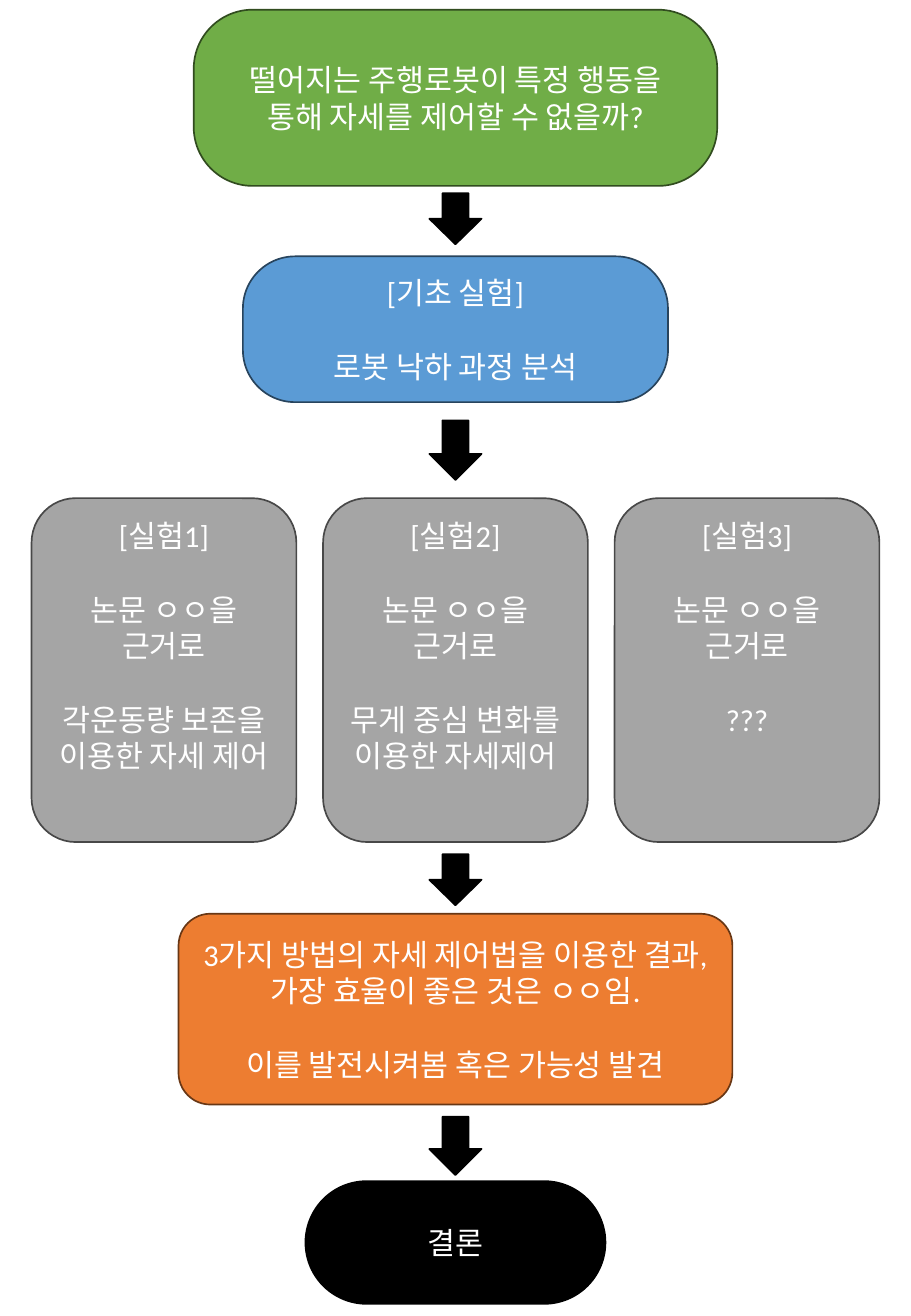
from pptx import Presentation
from pptx.dml.color import RGBColor
from pptx.enum.shapes import MSO_SHAPE
from pptx.enum.text import MSO_ANCHOR, PP_ALIGN
from pptx.util import Inches, Pt

PAGE_WIDTH, PAGE_HEIGHT = 7.5, 10.83
CENTER = PAGE_WIDTH / 2
EXPERIMENT_WIDTH, EXPERIMENT_PITCH = 2.18, 2.4
ARROW_WIDTH = 0.43

STAGES = [
    (0.08, 4.31, 1.45, 0.335, "70AD47", "314C1F",
     ["떨어지는 주행로봇이 특정 행동을 통해 자세를 제어할 수 없을까?"]),
    (2.11, 3.5, 1.2, 0.358, "5B9BD5", "28445D",
     ["[기초 실험]", "로봇 낙하 과정 분석"]),
    (7.52, 4.56, 1.57, 0.167, "ED7D31", "683715",
     ["3가지 방법의 자세 제어법을 이용한 결과, 가장 효율이 좋은 것은 ㅇㅇ임.",
      "이를 발전시켜봄 혹은 가능성 발견"]),
    (9.72, 2.47, 1.01, 0.5, "000000", "000000", ["결론"]),
]
EXPERIMENTS = [
    "각운동량 보존을 이용한 자세 제어",
    "무게 중심 변화를 이용한 자세제어",
    "???",
]
ARROWS = [(1.59, 0.42), (3.46, 0.49), (7.03, 0.42), (9.19, 0.48)]


def color(value):
    return RGBColor.from_string(value)


def add_block(slide, kind, center, top, width, height, fill, outline):
    block = slide.shapes.add_shape(
        kind, Inches(center - width / 2), Inches(top), Inches(width), Inches(height))
    block.shadow.inherit = False
    block.fill.solid()
    block.fill.fore_color.rgb = color(fill)
    block.line.color.rgb = color(outline)
    block.line.width = Pt(1)
    return block


def add_step(slide, center, top, width, height, rounding, fill, outline, lines,
             anchor=MSO_ANCHOR.MIDDLE):
    step = add_block(slide, MSO_SHAPE.ROUNDED_RECTANGLE, center, top, width, height,
                     fill, outline)
    step.adjustments[0] = rounding
    frame = step.text_frame
    frame.word_wrap = True
    frame.vertical_anchor = anchor
    frame.text = "\n".join(lines)
    for index, paragraph in enumerate(frame.paragraphs):
        paragraph.alignment = PP_ALIGN.CENTER
        paragraph.space_before = Pt(22 if index else 0)
        font = paragraph.runs[0].font
        font.name = "Calibri"
        font.size = Pt(18)
        font.color.rgb = color("FFFFFF")


def main():
    deck = Presentation()
    deck.slide_width = Inches(PAGE_WIDTH)
    deck.slide_height = Inches(PAGE_HEIGHT)
    slide = deck.slides.add_slide(deck.slide_layouts[6])

    for stage in STAGES:
        add_step(slide, CENTER, *stage)
    for index, method in enumerate(EXPERIMENTS):
        lines = [f"[실험{index + 1}]", "논문 ㅇㅇ을 근거로", method]
        add_step(slide, CENTER + (index - 1) * EXPERIMENT_PITCH, 4.1,
                 EXPERIMENT_WIDTH, 2.83, 0.167, "A5A5A5", "484848", lines,
                 MSO_ANCHOR.TOP)
    for top, height in ARROWS:
        add_block(slide, MSO_SHAPE.DOWN_ARROW, CENTER, top, ARROW_WIDTH, height,
                  "000000", "000000")

    deck.save("out.pptx")


if __name__ == "__main__":
    main()
